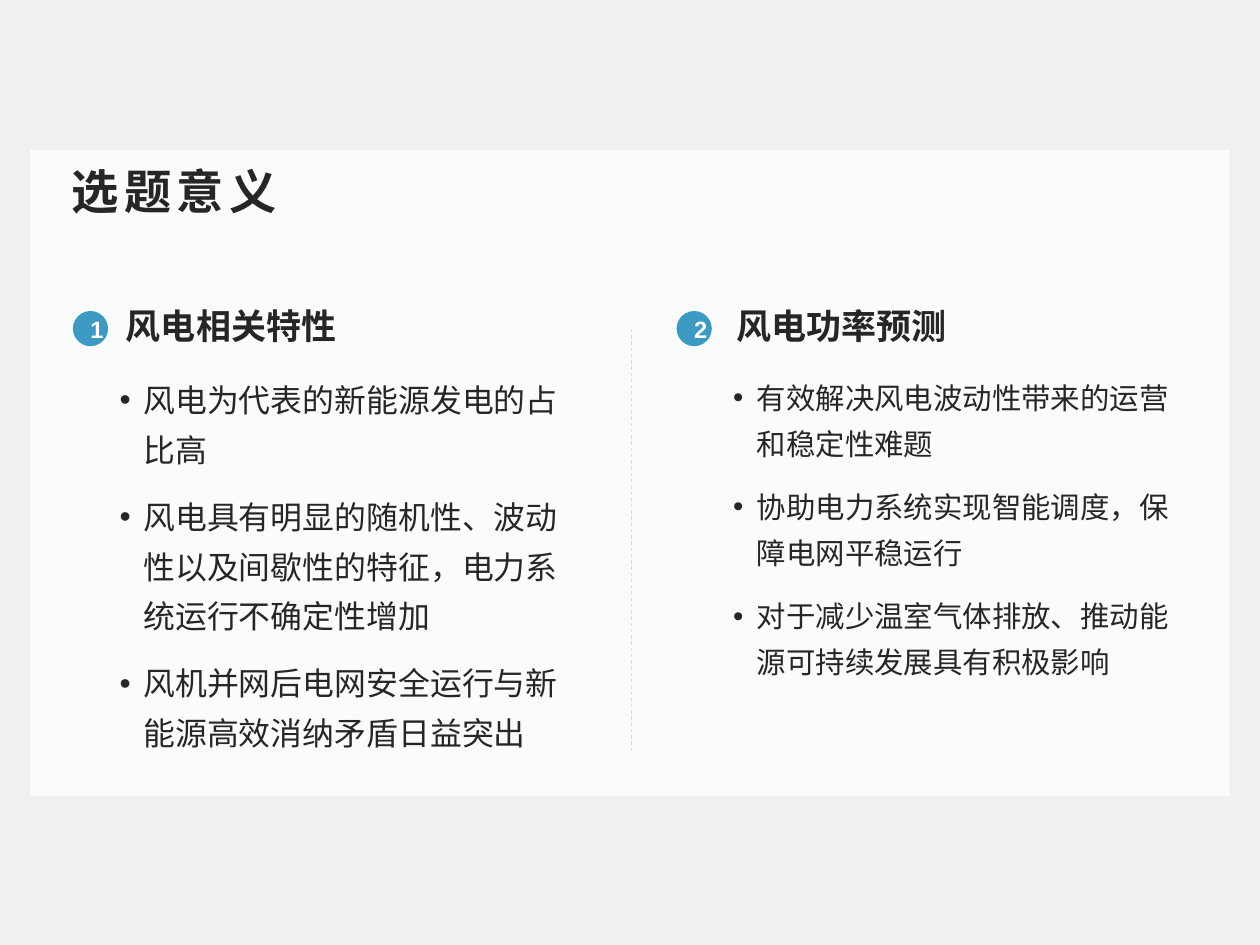
import pptx
import pptx.dml.color
import pptx.enum.dml
import pptx.enum.shapes
import pptx.enum.text
import pptx.oxml.ns
import pptx.util
from lxml import etree

Cm = pptx.util.Cm
Pt = pptx.util.Pt
RGBColor = pptx.dml.color.RGBColor
SHAPE = pptx.enum.shapes.MSO_SHAPE
ANCHOR = pptx.enum.text.MSO_ANCHOR
qn = pptx.oxml.ns.qn

BACKGROUND = RGBColor(0xEF, 0xF0, 0xF1)
CARD = RGBColor(0xFA, 0xFC, 0xFC)
INK = RGBColor(0x26, 0x26, 0x26)
BLUE = RGBColor(0x3D, 0x9A, 0xC2)
WHITE = RGBColor(0xFF, 0xFF, 0xFF)
RULE = RGBColor(0xD9, 0xD9, 0xD9)


def write_text(shape, lines, size, color=INK, bold=False, align=None,
               anchor=ANCHOR.TOP, tracking=0, bullet=False):
    """Fill a shape with one paragraph per line; tracking is in points."""
    frame = shape.text_frame
    frame.word_wrap = True
    frame.vertical_anchor = anchor
    for index, line in enumerate(lines):
        para = frame.add_paragraph() if index else frame.paragraphs[0]
        para.alignment = align
        if bullet:
            para.line_spacing = 1.3
            if index:
                para.space_before = Pt(10)
            properties = para._p.get_or_add_pPr()
            properties.set("marL", str(Cm(0.48)))
            properties.set("indent", str(-Cm(0.48)))
            etree.SubElement(properties, qn("a:buFont"), typeface="Arial")
            etree.SubElement(properties, qn("a:buChar"), char="•")
        span = para.add_run()
        span.text = line
        span.font.name = "Arial"
        span.font.size = Pt(size)
        span.font.bold = bold
        span.font.color.rgb = color
        span_properties = span._r.get_or_add_rPr()
        span_properties.set("lang", "zh-CN")
        if tracking:
            span_properties.set("spc", str(tracking * 100))


def add_solid(preset, left, top, width, height, color):
    shape = page.shapes.add_shape(preset, Cm(left), Cm(top), Cm(width), Cm(height))
    shape.shadow.inherit = False
    shape.fill.solid()
    shape.fill.fore_color.rgb = color
    shape.line.fill.background()
    return shape


deck = pptx.Presentation()
deck.slide_width = Cm(25.4)
deck.slide_height = Cm(19.05)
page = deck.slides.add_slide(deck.slide_layouts[6])
page.background.fill.solid()
page.background.fill.fore_color.rgb = BACKGROUND

add_solid(SHAPE.RECTANGLE, 0.61, 3.02, 24.18, 13.03, CARD)

# Each column: badge left, heading left, body left, body size, heading, points
columns = [
    (1.47, 2.29, 2.16, 18.2, "风电相关特性", [
        "风电为代表的新能源发电的占比高",
        "风电具有明显的随机性、波动性以及间歇性的特征，电力系统运行不确定性增加",
        "风机并网后电网安全运行与新能源高效消纳矛盾日益突出",
    ]),
    (13.64, 14.6, 14.53, 16.8, "风电功率预测", [
        "有效解决风电波动性带来的运营和稳定性难题",
        "协助电力系统实现智能调度，保障电网平稳运行",
        "对于减少温室气体排放、推动能源可持续发展具有积极影响",
    ]),
]
for number, column in enumerate(columns, start=1):
    badge_left, heading_left, body_left, body_size, heading, points = column
    body_box = page.shapes.add_textbox(Cm(body_left), Cm(7.32), Cm(9.6), Cm(8.08))
    write_text(body_box, points, body_size, bullet=True)
    heading_box = page.shapes.add_textbox(Cm(heading_left), Cm(6.02), Cm(9.6), Cm(0.84))
    write_text(heading_box, [heading], 20, bold=True)
    badge = add_solid(SHAPE.OVAL, badge_left, 6.27, 0.71, 0.71, BLUE)
    write_text(badge, [str(number)], 13.5, color=WHITE, bold=True,
               align=pptx.enum.text.PP_ALIGN.CENTER, anchor=ANCHOR.MIDDLE)

divider = page.shapes.add_connector(
    pptx.enum.shapes.MSO_CONNECTOR.STRAIGHT, Cm(12.72), Cm(6.63), Cm(12.72), Cm(15.14))
divider.line.color.rgb = RULE
divider.line.width = Pt(0.5)
divider.line.dash_style = pptx.enum.dml.MSO_LINE.DASH
etree.SubElement(divider._element.spPr, qn("a:effectLst"))

title_box = page.shapes.add_textbox(Cm(1.27), Cm(3.1), Cm(22.86), Cm(1.47))
title_frame = title_box.text_frame
title_frame.margin_left = title_frame.margin_right = Cm(0.18)
title_frame.margin_top = title_frame.margin_bottom = Cm(0.1)
write_text(title_box, ["选题意义"], 27, bold=True, anchor=ANCHOR.MIDDLE, tracking=3)

deck.save("out.pptx")
